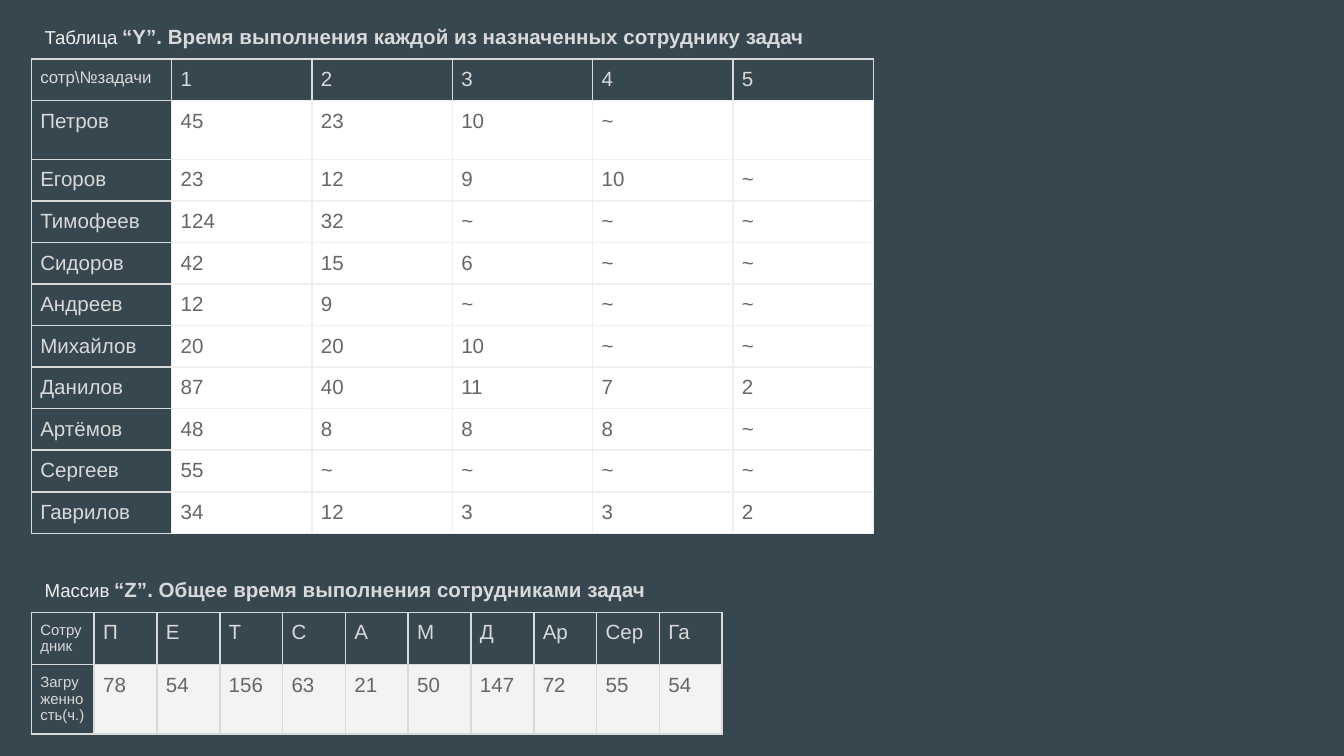
from lxml import etree
from pptx import Presentation
from pptx.dml.color import RGBColor
from pptx.enum.text import MSO_ANCHOR
from pptx.oxml.ns import qn
from pptx.util import Pt

SLATE = RGBColor(0x37, 0x47, 0x4F)
SILVER = RGBColor(0xD9, 0xD9, 0xD9)
PALE = RGBColor(0xEF, 0xEF, 0xEF)
MIST = RGBColor(0xF3, 0xF3, 0xF3)
WHITE = RGBColor(0xFF, 0xFF, 0xFF)
GRAY = RGBColor(0x66, 0x66, 0x66)
BLACK = RGBColor(0, 0, 0)

LEFT = 16.8
CELL_MARGIN = Pt(4.8)


def add_text(p, text, size=11, color=SILVER, bold=False):
    r = p.add_run()
    r.text = text
    r.font.name = "Arial"
    r.font.size = Pt(size)
    r.font.color.rgb = color
    r.font.bold = bold


def format_cell(cell, fill, borders):
    """Set margins, fill and the left, right, top and bottom border colours."""
    cell.margin_left = cell.margin_right = CELL_MARGIN
    cell.margin_top = cell.margin_bottom = CELL_MARGIN
    tc_pr = cell._tc.get_or_add_tcPr()
    for side, color in zip(("lnL", "lnR", "lnT", "lnB"), borders):
        ln = etree.SubElement(tc_pr, qn(f"a:{side}"), w=str(Pt(1)))
        solid = etree.SubElement(ln, qn("a:solidFill"))
        etree.SubElement(solid, qn("a:srgbClr"), val=str(color))
    if fill is None:
        cell.fill.background()
    else:
        cell.fill.solid()
        cell.fill.fore_color.rgb = fill


prs = Presentation()
prs.slide_width, prs.slide_height = Pt(720), Pt(405)
s = prs.slides.add_slide(prs.slide_layouts[6])
s.background.fill.solid()
s.background.fill.fore_color.rgb = SLATE

# Table contents
task_times = [
    ["сотр\\№задачи", "1", "2", "3", "4", "5"],
    ["Петров", "45", "23", "10", "~", ""],
    ["Егоров", "23", "12", "9", "10", "~"],
    ["Тимофеев", "124", "32", "~", "~", "~"],
    ["Сидоров", "42", "15", "6", "~", "~"],
    ["Андреев", "12", "9", "~", "~", "~"],
    ["Михайлов", "20", "20", "10", "~", "~"],
    ["Данилов", "87", "40", "11", "7", "2"],
    ["Артёмов", "48", "8", "8", "8", "~"],
    ["Сергеев", "55", "~", "~", "~", "~"],
    ["Гаврилов", "34", "12", "3", "3", "2"],
]
total_times = [
    ["Сотрудник", "П", "Е", "Т", "С", "А", "М", "Д", "Ар", "Сер", "Га"],
    ["Загруженность(ч.)", "78", "54", "156", "63", "21", "50", "147", "72", "55", "54"],
]

# rows, top, column width, row heights, body fill, inner border, small labels
tables = [
    (total_times, 328.1, 33.65, [28, 37.2], MIST, SILVER,
     {"Сотрудник": 8, "Загруженность(ч.)": 8}),
    (task_times, 31.6, 75.2, [22.26, 30.3] + [22.26] * 9, WHITE, PALE,
     {"сотр\\№задачи": 9}),
]
for rows, top, col_width, heights, body_fill, inner, label_sizes in tables:
    n_cols = len(rows[0])
    frame = s.shapes.add_table(len(rows), n_cols, Pt(LEFT), Pt(top),
                               Pt(col_width * n_cols), Pt(sum(heights)))
    table = frame.table
    table.first_row = table.horz_banding = False
    for col in table.columns:
        col.width = Pt(col_width)
    for i, (row, height) in enumerate(zip(rows, heights)):
        table.rows[i].height = Pt(height)
        for j, text in enumerate(row):
            cell = table.cell(i, j)
            if i == 0 and j == 0:
                borders = [SILVER] * 4
            elif i == 0:
                borders = [SILVER, SILVER, SILVER, inner]
            elif j == 0:
                borders = [SILVER, inner, SILVER, SILVER]
            else:
                borders = [inner] * 4
            is_body = i > 0 and j > 0
            format_cell(cell, body_fill if is_body else None, borders)
            if text:
                add_text(cell.text_frame.paragraphs[0], text,
                         size=label_sizes.get(text, 11),
                         color=GRAY if is_body else SILVER)

# Headings above the tables
headings = [
    (296, 370, "Массив", "“Z”. Общее время выполнения сотрудниками задач"),
    (0, 506, "Таблица", "“Y”. Время выполнения каждой из назначенных сотруднику задач"),
]
for top, width, kind, title in headings:
    sp = s.shapes.add_textbox(Pt(LEFT), Pt(top), Pt(width), Pt(37.4))
    tf = sp.text_frame
    tf.word_wrap = True
    tf.vertical_anchor = MSO_ANCHOR.MIDDLE
    tf.margin_left = tf.margin_right = tf.margin_top = tf.margin_bottom = Pt(7.2)
    p = tf.paragraphs[0]
    p.line_spacing = 1.15
    add_text(p, kind, size=10, color=PALE)
    add_text(p, " ", size=9, color=BLACK)
    add_text(p, title, bold=True)

prs.save("out.pptx")
